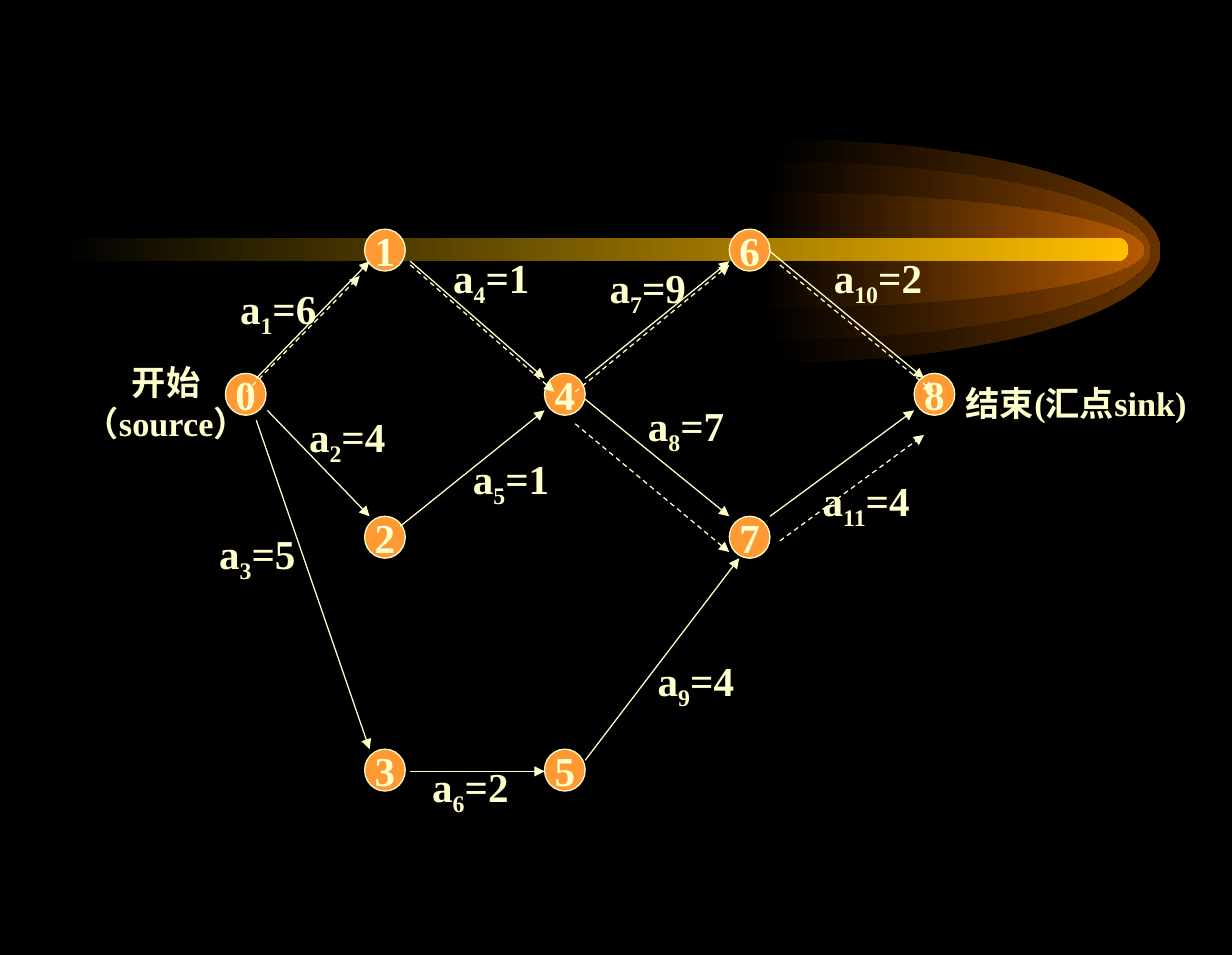
from pptx import Presentation
from pptx.dml.color import RGBColor
from pptx.enum.dml import MSO_LINE
from pptx.enum.shapes import MSO_CONNECTOR, MSO_SHAPE
from pptx.enum.text import MSO_ANCHOR, MSO_AUTO_SIZE, PP_ALIGN
from pptx.oxml.ns import qn
from pptx.util import Inches, Pt
from lxml import etree

BLACK = RGBColor(0x00, 0x00, 0x00)
CREAM = RGBColor(0xFF, 0xFF, 0xCC)
ORANGE = RGBColor(0xFF, 0x99, 0x33)
GOLD = RGBColor(0xFF, 0xBF, 0x00)
OUTER_GLOW = RGBColor(0x66, 0x33, 0x00)
MIDDLE_GLOW = RGBColor(0x89, 0x44, 0x00)
INNER_GLOW = RGBColor(0xB7, 0x5B, 0x00)

STRAIGHT = MSO_CONNECTOR.STRAIGHT
OVAL = MSO_SHAPE.OVAL
ROUNDED = MSO_SHAPE.ROUNDED_RECTANGLE
DASH = MSO_LINE.DASH
MIDDLE = MSO_ANCHOR.MIDDLE
FIT_SHAPE = MSO_AUTO_SIZE.SHAPE_TO_FIT_TEXT
LEFT = PP_ALIGN.LEFT
CENTER = PP_ALIGN.CENTER

GLOWS = [
    (6.29, 1.13, 1.81, OUTER_GLOW),
    (6.21, 1.31, 1.45, MIDDLE_GLOW),
    (6.16, 1.56, 0.94, INNER_GLOW),
]
COLUMNS = [1.83, 2.96, 4.42, 5.92, 7.42]
ROWS = [1.86, 3.03, 4.19, 6.08]
EVENTS = [(0, 1), (1, 0), (1, 2), (1, 3), (2, 1), (2, 3), (3, 0), (3, 2), (4, 1)]
ACTIVITIES = [
    (6, (2.08, 3.07), (3, 2.12), (1.85, 2.25)),
    (4, (2.17, 3.33), (3, 4.19), (2.41, 3.29)),
    (5, (2.08, 3.41), (3, 6.08), (1.68, 4.24)),
    (1, (3.33, 2.12), (4.42, 3.07), (3.58, 2)),
    (1, (3.25, 4.27), (4.42, 3.33), (3.74, 3.63)),
    (2, (3.33, 6.26), (4.42, 6.26), (3.41, 6.13)),
    (9, (4.75, 3.07), (5.92, 2.12), (4.85, 2.08)),
    (7, (4.75, 3.24), (5.92, 4.19), (5.16, 3.2)),
    (4, (4.75, 6.17), (6, 4.53), (5.24, 5.27)),
    (2, (6.25, 2.04), (7.5, 3.07), (6.67, 2)),
    (4, (6.25, 4.19), (7.42, 3.33), (6.58, 3.81)),
]
CRITICAL_STEPS = [
    ((2, 3.18), (2.92, 2.24)),
    ((3.33, 2.15), (4.5, 3.18)),
    ((4.67, 3.18), (5.92, 2.15)),
    ((4.67, 3.44), (5.92, 4.48)),
    ((6.33, 4.39), (7.5, 3.53)),
    ((6.33, 2.15), (7.58, 3.18)),
]


class NetworkSlide:
    font_name = "Times New Roman"
    line_width = Pt(0.75)

    def __init__(self, slide):
        self.slide = slide
        self.shapes = slide.shapes
        slide.background.fill.solid()
        slide.background.fill.fore_color.rgb = BLACK

    def format_paragraph(self, paragraph, size, align):
        paragraph.alignment = align
        for run in paragraph.runs:
            run.font.name = self.font_name
            run.font.size = Pt(size)
            run.font.bold = True
            run.font.color.rgb = CREAM

    def fade(self, shape, color):
        shape.shadow.inherit = False
        shape.line.fill.background()
        shape.fill.gradient()
        shape.fill.gradient_angle = 0
        for stop, stop_color in zip(shape.fill.gradient_stops, (BLACK, color)):
            stop.color.rgb = stop_color

    def glow(self, left, top, height, color, width=3.13, roundness=0.55):
        radius = height / 2
        builder = self.shapes.build_freeform(Inches(left), Inches(top), scale=1.0)
        builder.add_line_segments(
            [
                (Inches(left + width), Inches(top + radius)),
                (Inches(left), Inches(top + height)),
            ],
            close=True,
        )
        glow = builder.convert_to_shape()
        reach, rise = width * roundness, radius * (1 - roundness)
        quarters = [
            [(reach, 0), (width, rise), (width, radius)],
            [(width, height - rise), (reach, height), (0, height)],
        ]
        sides = list(glow._element.iter(qn("a:lnTo")))
        for side, quarter in zip(sides, quarters):
            curve = etree.Element(qn("a:cubicBezTo"))
            for x, y in quarter:
                etree.SubElement(
                    curve, qn("a:pt"), x=str(int(Inches(x))), y=str(int(Inches(y)))
                )
            side.getparent().replace(side, curve)
        self.fade(glow, color)

    def beam(self, left, top, width, height):
        beam = self.shapes.add_shape(
            ROUNDED, Inches(left), Inches(top), Inches(width), Inches(height)
        )
        beam.adjustments[0] = 0.5
        self.fade(beam, GOLD)

    def event(self, number, left, top):
        event = self.shapes.add_shape(
            OVAL, Inches(left), Inches(top), Inches(0.33), Inches(0.34)
        )
        event.shadow.inherit = False
        event.fill.solid()
        event.fill.fore_color.rgb = ORANGE
        event.line.color.rgb = CREAM
        event.line.width = self.line_width
        frame = event.text_frame
        frame.word_wrap = False
        frame.vertical_anchor = MIDDLE
        frame.text = str(number)
        self.format_paragraph(frame.paragraphs[0], 24, CENTER)

    def arrow(self, start, end, dashed=False):
        ends = [Inches(value) for value in (*start, *end)]
        arrow = self.shapes.add_connector(STRAIGHT, *ends)
        arrow.line.color.rgb = CREAM
        arrow.line.width = self.line_width
        if dashed:
            arrow.line.dash_style = DASH
        properties = arrow._element.spPr
        outline = properties.find(qn("a:ln"))
        etree.SubElement(outline, qn("a:tailEnd"), type="triangle")
        etree.SubElement(properties, qn("a:effectLst"))

    def text(self, left, top, width, height, content, size=20, align=LEFT):
        box = self.shapes.add_textbox(
            Inches(left), Inches(top), Inches(width), Inches(height)
        )
        frame = box.text_frame
        frame.word_wrap = False
        frame.auto_size = FIT_SHAPE
        frame.text = content
        for paragraph in frame.paragraphs:
            self.format_paragraph(paragraph, size, align)
        return frame

    def activity_label(self, index, duration, left, top):
        width = 0.82 if index < 10 else 0.93
        paragraph = self.text(left, top, width, 0.56, "a").paragraphs[0]
        subscript = paragraph.add_run()
        subscript.text = str(index)
        subscript._r.get_or_add_rPr().set("baseline", "-25000")
        paragraph.add_run().text = f"={duration}"
        self.format_paragraph(paragraph, 24, LEFT)


def main():
    presentation = Presentation()
    presentation.slide_width = Inches(10)
    presentation.slide_height = Inches(7.75)
    network = NetworkSlide(presentation.slides.add_slide(presentation.slide_layouts[6]))

    for left, top, height, color in GLOWS:
        network.glow(left, top, height, color)
    network.beam(0.5, 1.93, 8.66, 0.19)

    for number, (column, row) in enumerate(EVENTS):
        network.event(number, COLUMNS[column], ROWS[row])
    for _, start, end, _ in ACTIVITIES:
        network.arrow(start, end)
    for index, (duration, _, _, label) in enumerate(ACTIVITIES, 1):
        network.activity_label(index, duration, *label)
    for start, end in CRITICAL_STEPS:
        network.arrow(start, end, dashed=True)

    network.text(0.52, 2.88, 1.66, 0.77, "开始\n（source）", align=CENTER)
    network.text(7.74, 3.05, 2.19, 0.44, "结束(汇点sink)")
    presentation.save("out.pptx")


if __name__ == "__main__":
    main()
